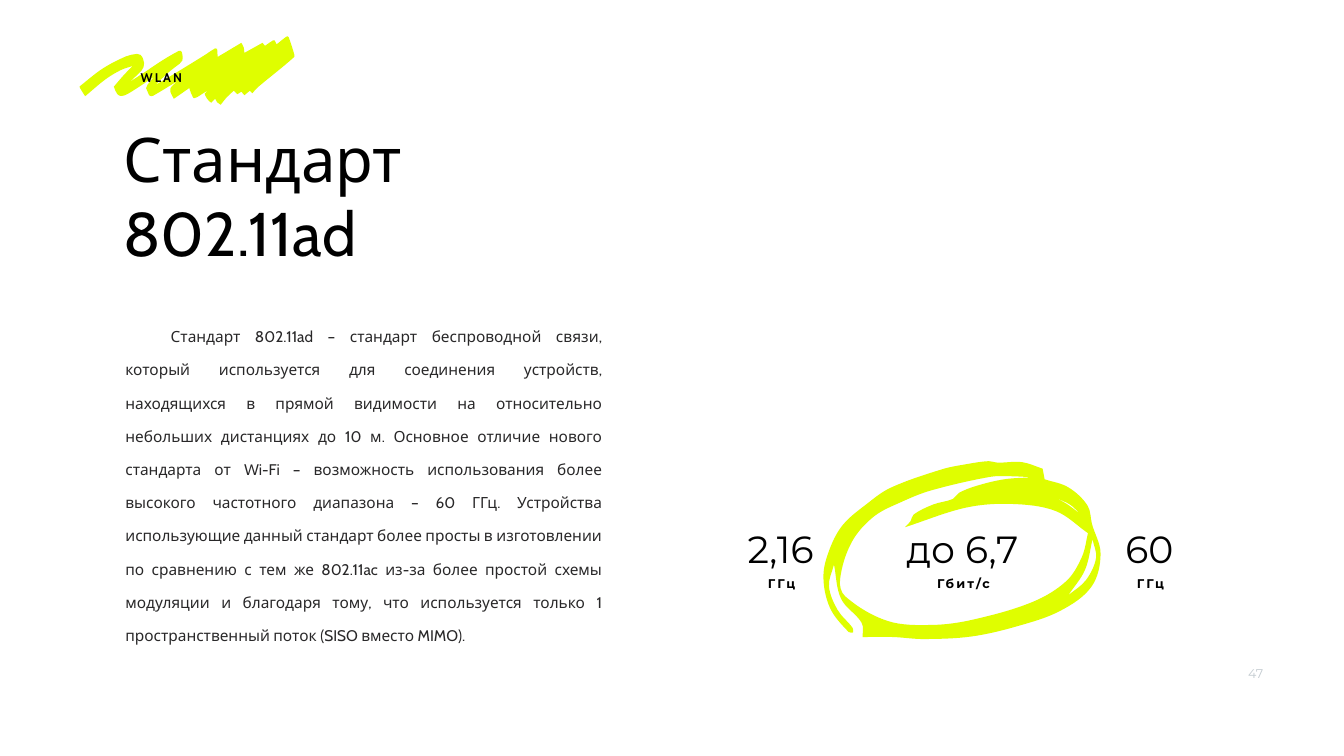
"""Builds the slide about the 802.11ad wireless standard with three key figures."""
import math
from dataclasses import dataclass

import lxml.etree
import pptx
import pptx.dml.color
import pptx.enum.text
import pptx.oxml.ns
import pptx.util

ALIGN = pptx.enum.text.PP_ALIGN
ANCHOR = pptx.enum.text.MSO_ANCHOR
Inches = pptx.util.Inches
qn = pptx.oxml.ns.qn


@dataclass(frozen=True)
class Theme:
    ink: str = "000000"
    body_ink: str = "292829"
    pale: str = "C3CBD0"
    marker: str = "DFFE00"
    text_font: str = "Cabin"
    figure_font: str = "Montserrat"
    title_size: int = 88
    figure_size: int = 54
    body_size: int = 22
    small_size: int = 18


THEME = Theme()
WIDTH, HEIGHT = 26.67, 15
TITLE = "Стандарт 802.11ad"
SECTION = "WLAN"
PAGE_NUMBER = "47"
BODY = (
    "Стандарт 802.11ad – стандарт беспроводной связи, который используется для "
    "соединения устройств, находящихся в прямой видимости на относительно небольших "
    "дистанциях до 10 м. Основное отличие нового стандарта от Wi-Fi – возможность "
    "использования более высокого частотного диапазона – 60 ГГц. Устройства использующие "
    "данный стандарт более просты в изготовлении по сравнению с тем же 802.11ac из-за "
    "более простой схемы модуляции и благодаря тому, что используется только 1 "
    "пространственный поток (SISO вместо MIMO)."
)
FIGURES = [(13.64, "2,16", "ГГц"), (17.25, "до 6,7", "Гбит/с"), (20.96, "60", "ГГц")]
FIGURE_WIDTH, FIGURE_TOP, FIGURE_HEIGHT = 3.7, 10.2, 1.1
LABEL_TOP, LABEL_HEIGHT, LABEL_SHIFT = 11.39, 0.39, 0.04

LOOP = [
    [(19.62, 9.15), (19.18, 9.21), (18.7, 9.31), (17.67, 9.68), (17.2, 10), (16.73, 10.41),
     (16.47, 10.88), (16.34, 11.43), (16.47, 12.06), (16.84, 12.54), (16.93, 12.55),
     (16.92, 12.46), (16.62, 12.1), (16.45, 11.63), (16.55, 11.2), (16.69, 11.88),
     (17.1, 12.36), (17.12, 12.64), (17.72, 12.64), (18.33, 12.68), (19.27, 12.63),
     (20.17, 12.43), (21.04, 12.12), (21.66, 11.64), (21.84, 10.99), (21.67, 10.4),
     (21.58, 10.03), (21.2, 9.67), (20.73, 9.51), (20.69, 9.3), (20.28, 9.17), (19.79, 9.18)],
    [(20.07, 9.45), (20.48, 9.47), (19.93, 9.51), (19.38, 9.64), (19.03, 9.78), (18.91, 9.9),
     (18.52, 10.01), (18.13, 10.21), (18.07, 10.34), (17.96, 10.46), (19.18, 10.07),
     (20.09, 10), (20.95, 10.14), (21.59, 10.58), (21.47, 11.05), (21.16, 11.53),
     (20.5, 11.94), (19.33, 12.29), (18.51, 12.4), (17.61, 12.32), (16.77, 11.83),
     (16.67, 11.5), (16.9, 10.76), (17.34, 10.25), (17.91, 9.95), (18.48, 9.73), (19.66, 9.46)],
    [(20.93, 9.87), (21.23, 10.01), (21.44, 10.2), (21.17, 10)],
    [(21.68, 10.7), (21.75, 11.07), (21.55, 11.51), (21.2, 11.81), (21.53, 11.31)],
]
SCRIBBLE = [
    [(1.6, 1.7), (2.04, 1.36), (2.5, 1.12), (2.72, 1.07), (2.79, 1.09), (2.84, 1.17),
     (2.86, 1.25), (2.85, 1.33), (2.81, 1.4), (2.57, 1.63), (2.89, 1.42), (3.22, 1.2),
     (3.55, 1.01), (3.59, 1.01), (3.61, 1.04), (3.62, 1.2), (3.49, 1.32), (3.34, 1.44),
     (3.08, 1.69), (3.5, 1.44), (3.86, 1.22), (4.1, 1.07), (4.27, 0.96), (4.31, 0.97),
     (4.32, 1.13), (4.79, 0.85), (4.84, 0.95), (4.85, 1.05), (5.21, 0.85), (5.26, 0.91),
     (5.42, 0.8), (5.45, 0.8), (5.49, 0.88), (5.68, 0.73), (5.71, 0.72), (5.73, 0.74),
     (5.84, 1.08), (5.84, 1.13), (5.13, 1.72), (5.06, 1.79), (5.01, 1.85), (4.96, 1.8),
     (4.85, 1.89), (4.79, 1.82), (4.71, 1.87), (4.64, 1.8), (4.5, 1.93), (4.38, 2.08),
     (4.31, 2.03), (4.27, 1.96), (4.19, 2.04), (4.11, 1.96), (4.06, 1.86), (4.13, 1.79),
     (4.02, 1.86), (3.91, 1.93), (3.85, 1.95), (3.83, 1.93), (3.76, 1.76), (3.78, 1.73),
     (3.61, 1.85), (3.45, 1.96), (3.38, 1.82), (3.38, 1.76), (3.41, 1.71), (3.54, 1.6),
     (3.04, 1.9), (3, 1.91), (2.96, 1.89), (2.93, 1.82), (2.9, 1.75), (2.93, 1.68),
     (3.06, 1.52), (2.78, 1.71), (2.48, 1.89), (2.37, 1.9), (2.33, 1.87), (2.29, 1.8),
     (2.26, 1.72), (2.44, 1.51), (2.63, 1.31), (2.4, 1.39), (2.1, 1.57), (1.69, 1.91),
     (1.59, 1.75), (1.58, 1.72)],
]


def direction(start, end):
    """Return the angle of the line from start to end."""
    return math.atan2(end[1] - start[1], end[0] - start[0])


def handles(points, corner=math.radians(60)):
    """Return the two curve handles of each side, keeping sharp corners."""
    following = points[1:] + points[:1]
    tangents = []
    for index, (point, after) in enumerate(zip(points, following)):
        before = points[index - 1]
        turn = math.remainder(direction(point, after) - direction(before, point), math.tau)
        tangents.append(direction(before, after) if abs(turn) < corner else None)
    sides = []
    for start, end, leave, arrive in zip(points, following, tangents, tangents[1:] + tangents[:1]):
        chord, reach = direction(start, end), math.dist(start, end) / 3
        leave, arrive = (chord if angle is None else angle for angle in (leave, arrive))
        sides.append([
            (start[0] + reach * math.cos(leave), start[1] + reach * math.sin(leave)),
            (end[0] - reach * math.cos(arrive), end[1] - reach * math.sin(arrive))])
    return sides


def add_marker(slide, contours):
    """Draw one highlighter stroke from its contours with curved sides."""
    builder = None
    for contour in contours:
        vertices = [(Inches(x), Inches(y)) for x, y in contour + contour[:1]]
        if builder is None:
            builder = slide.shapes.build_freeform(*vertices[0])
        else:
            builder.move_to(*vertices[0])
        builder.add_line_segments(vertices[1:], close=True)
    shape = builder.convert_to_shape()
    sides = [side for contour in contours for side in handles(contour)]
    for segment, side in zip(list(shape._element.iter(qn("a:lnTo"))), sides):
        curve = lxml.etree.Element(qn("a:cubicBezTo"))
        for x, y in side:
            lxml.etree.SubElement(curve, qn("a:pt"), x=str(Inches(x) - shape.left),
                                  y=str(Inches(y) - shape.top))
        curve.append(segment[0])
        segment.getparent().replace(segment, curve)
    shape.shadow.inherit = False
    shape.fill.solid()
    shape.fill.fore_color.rgb = pptx.dml.color.RGBColor.from_string(THEME.marker)
    shape.line.fill.background()


def write(shape, box, text, size, font=THEME.text_font, color=THEME.ink, bold=False,
          align=ALIGN.LEFT, anchor=ANCHOR.TOP, line_spacing=None, tracking=0,
          margins=(0.04, 0.04)):
    """Place a text shape, set its text and return its paragraph."""
    shape.left, shape.top, shape.width, shape.height = map(Inches, box)
    frame = shape.text_frame
    frame.text = text
    frame.word_wrap = True
    frame.auto_size = pptx.enum.text.MSO_AUTO_SIZE.NONE
    frame.vertical_anchor = anchor
    frame.margin_left = frame.margin_right = Inches(margins[0])
    frame.margin_top = frame.margin_bottom = Inches(margins[1])
    paragraph = frame.paragraphs[0]
    paragraph.alignment = align
    paragraph.line_spacing = line_spacing
    run = paragraph.runs[0]
    run.font.name, run.font.size, run.font.bold = font, pptx.util.Pt(size), bold
    run.font.color.rgb = pptx.dml.color.RGBColor.from_string(color)
    if tracking:
        run._r.get_or_add_rPr().set("spc", str(tracking * 100))
    return paragraph


def main():
    """Build and save the slide."""
    presentation = pptx.Presentation()
    presentation.slide_width, presentation.slide_height = Inches(WIDTH), Inches(HEIGHT)
    slide = presentation.slides.add_slide(presentation.slide_layouts[5])

    def add_text(box, *details, **options):
        return write(slide.shapes.add_textbox(0, 0, 0, 0), box, *details, **options)

    small = dict(bold=True, anchor=ANCHOR.MIDDLE, tracking=3)
    add_marker(slide, LOOP)
    write(slide.shapes.title, (2.41, 2.36, 8.31, 3.44), TITLE, THEME.title_size)
    body = add_text((2.39, 6.15, 9.66, 6), BODY, THEME.body_size, color=THEME.body_ink,
                    align=ALIGN.JUSTIFY, line_spacing=1.8, margins=(0.1, 0.05))
    body._p.get_or_add_pPr().set("indent", str(Inches(0.9)))
    for left, value, unit in FIGURES:
        add_text((left + LABEL_SHIFT, LABEL_TOP, FIGURE_WIDTH - LABEL_SHIFT, LABEL_HEIGHT), unit,
                 THEME.small_size, font=THEME.figure_font, align=ALIGN.CENTER, **small)
        add_text((left, FIGURE_TOP, FIGURE_WIDTH, FIGURE_HEIGHT), value, THEME.figure_size,
                 font=THEME.figure_font, align=ALIGN.CENTER, line_spacing=1.2,
                 margins=(0.04, 0.05))
    add_marker(slide, SCRIBBLE)
    add_text((2.75, 1.34, 6.12, LABEL_HEIGHT), SECTION, THEME.small_size, **small)
    add_text((24.67, 13.16, 0.98, 0.53), PAGE_NUMBER, THEME.small_size,
             font=THEME.figure_font, color=THEME.pale, margins=(0.1, 0.05))
    presentation.save("out.pptx")


if __name__ == "__main__":
    main()
